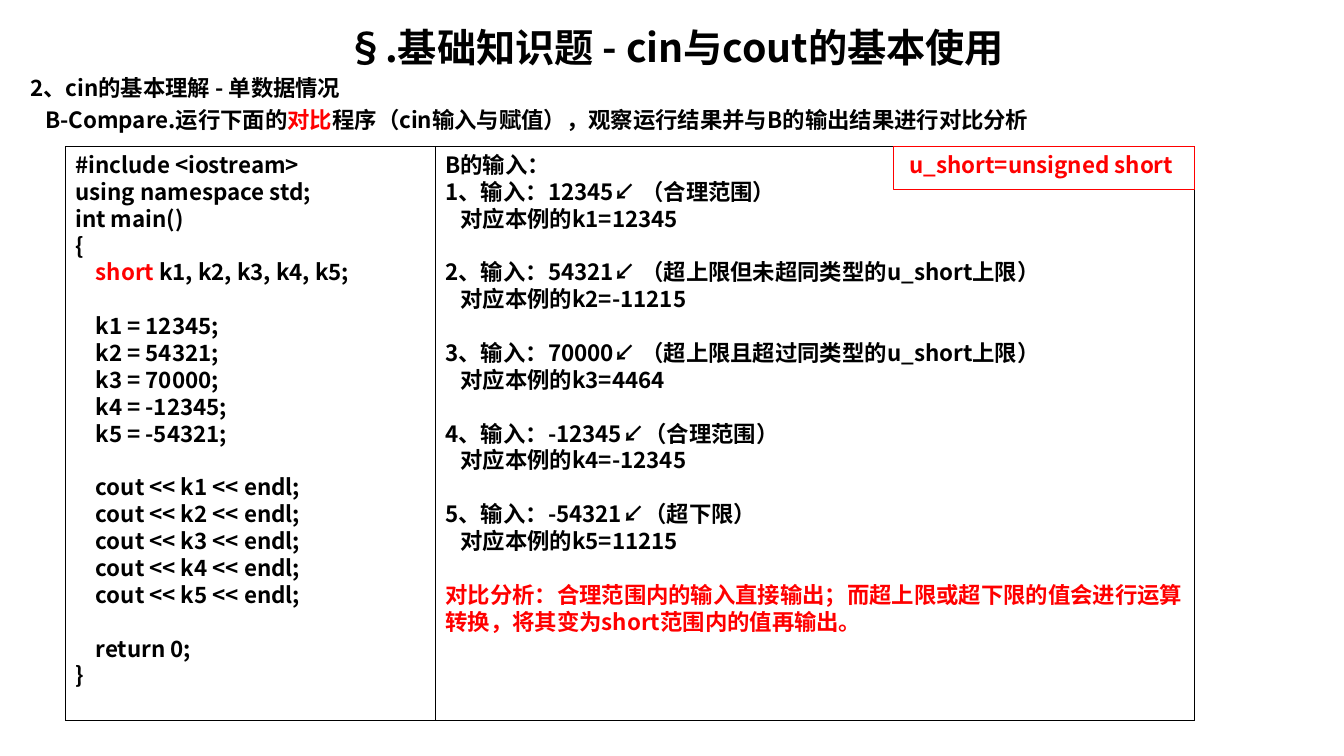
from lxml import etree
from pptx import Presentation
from pptx import util as u
from pptx.dml.color import RGBColor
from pptx.enum import shapes, text
from pptx.oxml import ns

FONT = "Noto Sans CJK SC"
COLORS = {"ink": "000000", "accent": "FF0000"}
BODY = 16
LINE_RATIO = 1.2
INDENT = u.Inches(0.15)

CODE = """#include <iostream>
using namespace std;
int main()
{
    *short* k1, k2, k3, k4, k5;

    k1 = 12345;
    k2 = 54321;
    k3 = 70000;
    k4 = -12345;
    k5 = -54321;

    cout << k1 << endl;
    cout << k2 << endl;
    cout << k3 << endl;
    cout << k4 << endl;
    cout << k5 << endl;

    return 0;
}""".split("\n")

CASES = [
    ("12345↙ （合理范围）", "12345"),
    ("54321↙ （超上限但未超同类型的u_short上限）", "-11215"),
    ("70000↙ （超上限且超过同类型的u_short上限）", "4464"),
    ("-12345↙（合理范围）", "-12345"),
    ("-54321↙（超下限）", "11215"),
]
ANALYSIS = ("对比分析：合理范围内的输入直接输出；而超上限或超下限的值会进行运算转换，"
            "将其变为short范围内的值再输出。")


def rgb(name):
    return RGBColor.from_string(COLORS[name])


def add_line(frame, words, size=BODY, color="ink", before=0, indent=0):
    """Write one paragraph; words between asterisks take the accent colour."""
    paragraph = frame.paragraphs[0]
    if paragraph.runs:
        paragraph = frame.add_paragraph()
    pieces = words.split("*")
    for number, piece in enumerate(pieces):
        if piece:
            run = paragraph.add_run()
            run.text = piece
            if len(pieces) > 1:
                run.font.color.rgb = rgb("accent" if number % 2 else color)
    paragraph.alignment = text.PP_ALIGN.LEFT
    paragraph.line_spacing = u.Pt(size * LINE_RATIO)
    if before:
        paragraph.space_before = u.Pt(before)
    if indent:
        paragraph._p.get_or_add_pPr().set("marL", str(indent))
    font = paragraph.font
    font.size, font.bold, font.name = u.Pt(size), True, FONT
    font.color.rgb = rgb(color)
    east_asian = etree.SubElement(font._element, ns.qn("a:ea"))
    east_asian.set("typeface", FONT)
    return paragraph


def add_box(slide, box, color="ink"):
    """Outlined, unfilled rectangle; returns its text frame."""
    shape = slide.shapes.add_shape(shapes.MSO_SHAPE.RECTANGLE, *map(u.Inches, box))
    shape.shadow.inherit = False
    shape.fill.background()
    shape.line.color.rgb = rgb(color)
    shape.line.width = u.Pt(0.75)
    frame = shape.text_frame
    frame.word_wrap = True
    frame.vertical_anchor = text.MSO_ANCHOR.TOP
    return frame


def add_heading(slide, box):
    frame = slide.shapes.add_textbox(*map(u.Inches, box)).text_frame
    frame.word_wrap = True
    title = add_line(frame, "§.基础知识题 - cin与cout的基本使用", size=28)
    title.alignment = text.PP_ALIGN.CENTER
    gap = 0.2 * BODY
    add_line(frame, "2、cin的基本理解 - 单数据情况", before=gap)
    add_line(frame, "B-Compare.运行下面的*对比*程序（cin输入与赋值），"
             "观察运行结果并与B的输出结果进行对比分析", before=gap, indent=INDENT)


def add_code(slide, box):
    frame = add_box(slide, box)
    gap = 0
    for line in CODE:
        if line:
            add_line(frame, line, before=gap)
        gap = 0 if line else BODY * LINE_RATIO


def add_results(slide, box):
    frame = add_box(slide, box)
    gap = BODY * LINE_RATIO
    add_line(frame, "B的输入：")
    for number, (entry, value) in enumerate(CASES, 1):
        add_line(frame, f"{number}、输入：{entry}", before=gap if number > 1 else 0)
        add_line(frame, f"对应本例的k{number}={value}", indent=INDENT)
    add_line(frame, ANALYSIS, color="accent", before=gap)


def add_note(slide, box):
    frame = add_box(slide, box, "accent")
    note = add_line(frame, "u_short=unsigned short ", color="accent")
    note.alignment = text.PP_ALIGN.CENTER


def main():
    presentation = Presentation()
    presentation.slide_width = u.Inches(13.33)
    presentation.slide_height = u.Inches(7.5)
    slide = presentation.slides.add_slide(presentation.slide_layouts[6])

    left, top, width, height = 0.65, 1.45, 11.2, 5.7
    code_width, note_width = 3.67, 2.99
    right = left + width

    # Outer frame and heading
    add_box(slide, (left, top, width, height))
    add_heading(slide, (0.2, 0.18, 12.99, 7.09))
    # Program and its results side by side
    add_code(slide, (left, top, code_width, height))
    add_results(slide, (left + code_width, top, width - code_width, height))
    # Abbreviation in the top right corner
    add_note(slide, (right - note_width, top, note_width, 0.43))

    presentation.save("out.pptx")


if __name__ == "__main__":
    main()
